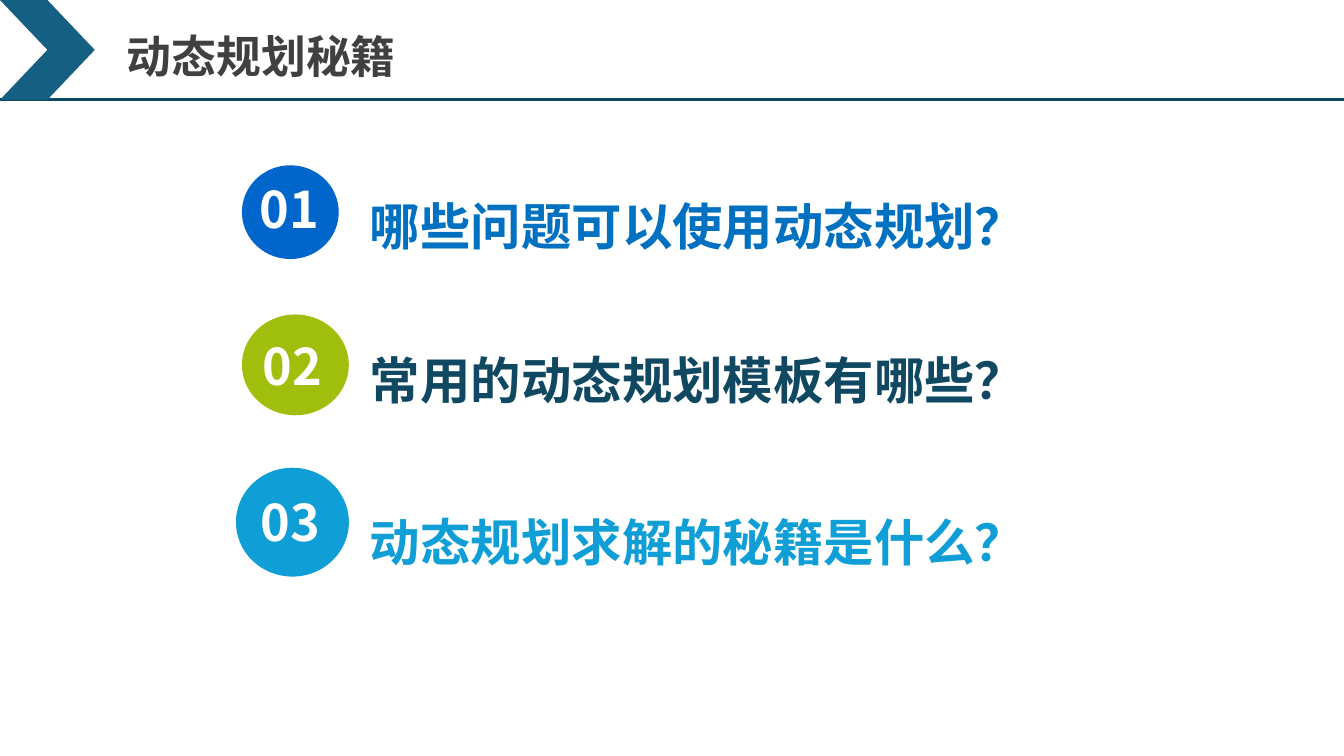
"""Build the agenda slide on dynamic programming."""
from lxml.etree import SubElement
from pptx import Presentation
from pptx.dml.color import RGBColor as RGB
from pptx.enum.shapes import MSO_CONNECTOR as Line, MSO_SHAPE as Kind
from pptx.enum.text import MSO_AUTO_SIZE as Fit
from pptx.oxml.ns import qn
from pptx.util import Inches, Pt

FONT = "Noto Sans CJK SC"
HUES = {
    "navy": "104862", "teal": "156082", "gray": "404040", "white": "FFFFFF",
    "royal": "0066CC", "blue": "0070C0", "lime": "A0BF0D", "sky": "0F9ED5",
}
ITEMS = [
    ("01", (2.4, 1.64, 0.96, 0.93), "royal", (2.48, 1.72, 0.87, 0.71),
     "哪些问题可以使用动态规划？", (3.67, 1.76, 6.06, 0.68), "blue", 1.3),
    ("02", (2.4, 3.12, 1.06, 1), "lime", (2.51, 3.28, 0.83, 0.71),
     "常用的动态规划模板有哪些？", (3.67, 3.16, 6.53, 0.77), "navy", 1.5),
    ("03", (2.34, 4.64, 1.12, 1.08), "sky", (2.49, 4.82, 0.83, 0.71),
     "动态规划求解的秘籍是什么？", (3.67, 4.77, 6.53, 0.77), "sky", 1.5),
]


def hue(name):
    """Return the named colour."""
    return RGB.from_string(HUES[name])


def add_form(slide, kind, box, fill):
    """Add a plain filled shape without outline."""
    form = slide.shapes.add_shape(kind, *map(Inches, box))
    form.shadow.inherit = False
    form.fill.solid()
    form.fill.fore_color.rgb = hue(fill)
    form.line.fill.background()


def add_text(slide, text, box, color, size=36, space=None, inset=True):
    """Add one bold line of text."""
    frame = slide.shapes.add_textbox(*map(Inches, box)).text_frame
    frame.word_wrap = True
    frame.auto_size = Fit.SHAPE_TO_FIT_TEXT
    if not inset:
        frame.margin_left = frame.margin_right = 0
        frame.margin_top = frame.margin_bottom = 0
    para = frame.paragraphs[0]
    if space:
        para.line_spacing = space
    run = para.add_run()
    run.text = text
    font = run.font
    font.name, font.size, font.bold = FONT, Pt(size), True
    font.color.rgb = hue(color)
    SubElement(run._r.get_or_add_rPr(), qn("a:ea"), typeface=FONT)


def add_rule(slide, top, width):
    """Add the line below the header."""
    rule = slide.shapes.add_connector(
        Line.STRAIGHT, 0, Inches(top), Inches(width), Inches(top))
    rule.line.color.rgb = hue("navy")
    rule.line.width = Pt(2.25)
    SubElement(rule._element.spPr, qn("a:effectLst"))


def add_item(slide, num, disc, fill, spot, text, box, color, space):
    """Add a numbered disc and its question."""
    add_form(slide, Kind.OVAL, disc, fill)
    add_text(slide, num, spot, "white")
    add_text(slide, text, box, color, space=space, inset=False)


def main():
    """Draw and save the slide."""
    deck = Presentation()
    deck.slide_width, deck.slide_height = Inches(13.33), Inches(7.5)
    slide = deck.slides.add_slide(deck.slide_layouts[6])
    add_rule(slide, 0.99, 13.33)
    add_form(slide, Kind.CHEVRON, (0, 0, 0.94, 0.99), "teal")
    add_text(slide, "动态规划秘籍", (1.16, 0.24, 4.33, 0.64), "gray", size=32)
    for item in ITEMS:
        add_item(slide, *item)
    deck.save("out.pptx")


if __name__ == "__main__":
    main()
